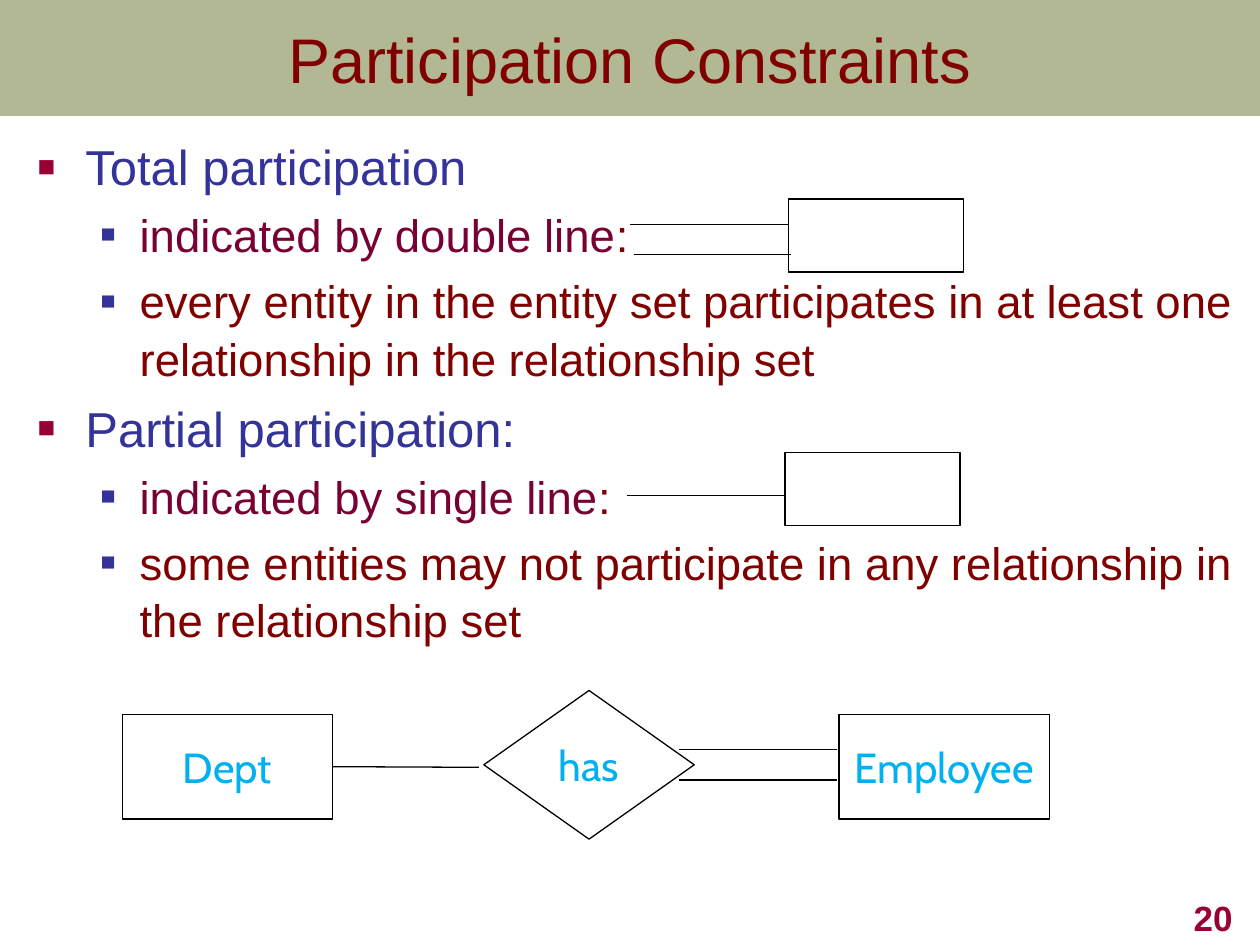
import pptx
import pptx.util
import pptx.dml.color
import pptx.enum.shapes
import pptx.enum.text
import pptx.oxml
import pptx.oxml.ns
from lxml import etree

Inches, Pt = pptx.util.Inches, pptx.util.Pt
MSO_SHAPE = pptx.enum.shapes.MSO_SHAPE
ALIGN = pptx.enum.text.PP_ALIGN
ANCHOR = pptx.enum.text.MSO_ANCHOR
qn = pptx.oxml.ns.qn


def color(hex_str):
    return pptx.dml.color.RGBColor.from_string(hex_str)


class Deck:
    FONT, LABEL_FONT = "Arial", "Cabin"
    MAROON, WINE, CRIMSON, INDIGO = "800000", "790033", "990033", "333399"
    BAND, LABEL, LINE = "677228", "00B0F0", "000000"
    # Per level: text size, left indent, hanging indent, bullet colour, bullet size %
    LEVELS = [(28, 0.38, 0.38, CRIMSON, 60), (26, 0.81, 0.31, INDIGO, 55)]

    def __init__(self):
        self.prs = pptx.Presentation()
        self.prs.slide_width, self.prs.slide_height = Inches(10), Inches(7.5)
        self.s = self.prs.slides.add_slide(self.prs.slide_layouts[5])

    def style(self, r, size, hex_str, font=FONT, bold=False):
        r.font.name, r.font.size, r.font.bold = font, Pt(size), bold
        r.font.color.rgb = color(hex_str)

    def place(self, sp, x, y, w, h):
        sp.left, sp.top, sp.width, sp.height = map(Inches, (x, y, w, h))

    def title(self, text, height):
        sp = self.s.shapes.title
        self.place(sp, 0, 0, 10, height)
        tf = sp.text_frame
        tf.text = text
        tf.vertical_anchor = ANCHOR.MIDDLE
        tf.paragraphs[0].alignment = ALIGN.CENTER
        self.style(tf.paragraphs[0].runs[0], 36, self.MAROON)

    def band(self, height):
        sp = self.s.shapes.add_shape(MSO_SHAPE.RECTANGLE, 0, 0, Inches(10), Inches(height))
        sp.shadow.inherit = False
        sp.fill.solid()
        sp.fill.fore_color.rgb = color(self.BAND)
        sp.line.fill.background()
        clr = sp.fill._xPr.find(".//" + qn("a:srgbClr"))
        etree.SubElement(clr, qn("a:alpha"), val="50000")
        self.s.shapes._spTree.insert(2, sp._element)  # behind the title

    def text_box(self, x, y, w, h):
        tf = self.s.shapes.add_textbox(*map(Inches, (x, y, w, h))).text_frame
        tf.word_wrap = True
        return tf

    def bullets(self, x, y, w, h, items):
        tf = self.text_box(x, y, w, h)
        tf.margin_right = 0
        for i, (level, runs) in enumerate(items):
            p = tf.paragraphs[0] if i == 0 else tf.add_paragraph()
            size, left, hang, bullet, percent = self.LEVELS[level]
            p.level = level
            p.space_before = Pt(size * 0.2)
            p.line_spacing = 1.05
            for text, hex_str in runs:
                r = p.add_run()
                r.text = text
                self.style(r, size, hex_str)
            pPr = p._p.get_or_add_pPr()
            pPr.set("marL", str(Inches(left)))
            pPr.set("indent", str(-Inches(hang)))
            clr = etree.SubElement(pPr, qn("a:buClr"))
            etree.SubElement(clr, qn("a:srgbClr"), val=bullet)
            etree.SubElement(pPr, qn("a:buSzPct"), val=str(percent * 1000))
            etree.SubElement(pPr, qn("a:buFont"), typeface=self.FONT)
            etree.SubElement(pPr, qn("a:buChar"), char="■")

    def node(self, x, y, w, h, text="", kind=MSO_SHAPE.RECTANGLE):
        sp = self.s.shapes.add_shape(kind, *map(Inches, (x, y, w, h)))
        sp.shadow.inherit = False
        sp.fill.background()
        sp.line.color.rgb = color(self.LINE)
        sp.line.width = Pt(0.75)
        if text:
            tf = sp.text_frame
            tf.text = text
            tf.word_wrap = False
            tf.vertical_anchor = ANCHOR.MIDDLE
            tf.paragraphs[0].alignment = ALIGN.CENTER
            self.style(tf.paragraphs[0].runs[0], 24, self.LABEL, self.LABEL_FONT)
        return sp

    def line(self, x1, x2, y, start=None):
        c = self.s.shapes.add_connector(
            pptx.enum.shapes.MSO_CONNECTOR.STRAIGHT, *map(Inches, (x1, y, x2, y)))
        c.line.color.rgb = color(self.LINE)
        c.line.width = Pt(0.75)
        etree.SubElement(c._element.spPr, qn("a:effectLst"))
        if start is not None:
            c.begin_connect(start, 3)

    def page_number(self, text):
        tf = self.text_box(7.8, 7, 2.08, 0.5)
        tf.text = text
        tf.vertical_anchor = ANCHOR.BOTTOM
        tf.paragraphs[0].alignment = ALIGN.RIGHT
        self.style(tf.paragraphs[0].runs[0], 20, self.CRIMSON, bold=True)


def main():
    d = Deck()

    # Heading
    d.title("Participation Constraints", 0.92)
    d.band(0.92)

    # Explanation
    d.bullets(0.2, 1.01, 9.69, 6.21, [
        (0, [("Total participation", d.INDIGO)]),
        (1, [("indicated by double line", d.WINE), (":", d.MAROON)]),
        (1, [("every entity in the entity set participates in at least one "
              "relationship in the relationship set", d.MAROON)]),
        (0, [("Partial participation:", d.INDIGO)]),
        (1, [("indicated by single line", d.WINE), (":", d.MAROON)]),
        (1, [("some entities may not participate in any relationship in "
              "the relationship set", d.MAROON)]),
    ])

    # Notation samples: double line, then single line
    d.node(6.26, 1.58, 1.39, 0.58)
    d.line(5, 6.25, 1.78)
    d.line(5.03, 6.28, 2.02)
    d.node(6.23, 3.59, 1.39, 0.58)
    d.line(4.98, 6.23, 3.93)

    # Example diagram
    dept = d.node(0.97, 5.67, 1.67, 0.83, "Dept")
    d.node(3.84, 5.48, 1.67, 1.18, "has", MSO_SHAPE.DIAMOND)
    d.node(6.66, 5.67, 1.67, 0.83, "Employee")
    d.line(2.64, 3.8, 6.09, start=dept)
    for y in (5.95, 6.19):
        d.line(5.39, 6.64, y)

    d.page_number("20")
    d.prs.save("out.pptx")


if __name__ == "__main__":
    main()
